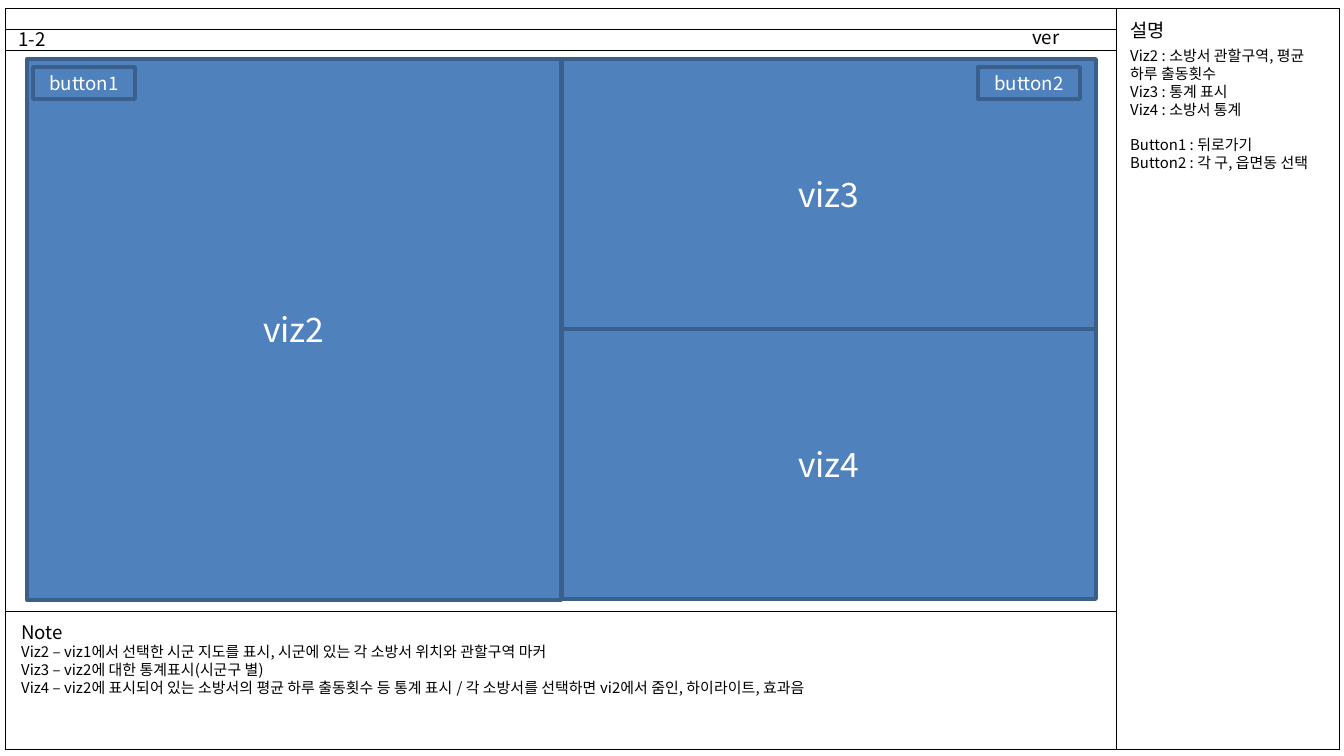
import pptx
import pptx.util
import pptx.dml.color
import pptx.enum.shapes
import pptx.enum.text
import pptx.oxml.ns
import lxml.etree

RGB = pptx.dml.color.RGBColor
BLACK = RGB(0x00, 0x00, 0x00)
WHITE = RGB(0xFF, 0xFF, 0xFF)
BLUE = RGB(0x4F, 0x81, 0xBD)
NAVY = RGB(0x3A, 0x5F, 0x8C)
FONT = "Noto Sans CJK KR"
SCALE = 914400 / 134.4
ALIGN = pptx.enum.text.PP_ALIGN
ANCHOR = pptx.enum.text.MSO_ANCHOR
FIT = pptx.enum.text.MSO_AUTO_SIZE

# Boxes are (left, top, width, height) in pixels.
FRAMES = [
    (5, 8, 1334, 741),
    (1116, 8, 223, 741),
    (5, 611, 1111, 138),
    (5, 8, 1111, 21),
    (5, 29, 1111, 21),
]
LEFT, TOP, WIDE, HIGH = 27, 59, 535, 270
VIEWS = [
    ("viz2", (LEFT, TOP, WIDE - 1, 2 * HIGH + 1)),
    ("viz3", (LEFT + WIDE, TOP, WIDE - 1, HIGH)),
    ("viz4", (LEFT + WIDE, TOP + HIGH, WIDE - 1, HIGH)),
]
BUTTONS = [("button2", (978, 67, 102, 32)), ("button1", (33, 67, 102, 32))]
GUIDE = [
    ("Viz2 : 소방서 관할구역, 평균 하루 출동횟수", 8),
    ("Viz3 : 통계 표시", 8),
    ("Viz4 : 소방서 통계", 8),
    ("Button1 : 뒤로가기", 8, 9.6),
    ("Button2 : 각 구, 읍면동 선택", 8),
]
NOTES = [
    ("Note", 10),
    ("Viz2 – viz1에서 선택한 시군 지도를 표시, 시군에 있는 각 소방서 위치와 관할구역 마커", 8),
    ("Viz3 – viz2에 대한 통계표시(시군구 별)", 8),
    ("Viz4 – viz2에 표시되어 있는 소방서의 평균 하루 출동횟수 등 통계 표시 / "
     "각 소방서를 선택하면 vi2에서 줌인, 하이라이트, 효과음", 8),
]


def px(size):
    """Turn pixels into EMU."""
    return pptx.util.Emu(round(size * SCALE))


def assign(item, **values):
    """Set each given attribute on the item."""
    for name, value in values.items():
        setattr(item, name, value)


def place(item, box):
    """Move and size an item."""
    names = ("left", "top", "width", "height")
    assign(item, **dict(zip(names, map(px, box))))


def write(frame, lines, color=BLACK, align=ALIGN.LEFT):
    """Write (text, size, optional space before) lines into a text frame."""
    for row, (text, size, *gap) in enumerate(lines):
        para = frame.add_paragraph() if row else frame.paragraphs[0]
        assign(para, alignment=align, space_before=pptx.util.Pt(gap[0] if gap else 0))
        run = para.add_run()
        run.text = text
        assign(run.font, name=FONT, size=pptx.util.Pt(size))
        run.font.color.rgb = color
        east = lxml.etree.SubElement(run.font._element, pptx.oxml.ns.qn("a:ea"))
        east.set("typeface", FONT)


def panel(slide, box, fill=WHITE, edge=BLACK, width=0.25):
    """Add a filled and outlined rectangle."""
    shape = slide.shapes.add_shape(
        pptx.enum.shapes.MSO_SHAPE.RECTANGLE, *map(px, box))
    shape.shadow.inherit = False
    shape.fill.solid()
    shape.fill.fore_color.rgb = fill
    shape.line.color.rgb = edge
    shape.line.width = pptx.util.Pt(width)
    return shape


def tile(slide, text, box, size):
    """Add a blue rectangle with a centred label."""
    frame = panel(slide, box, BLUE, NAVY, 2).text_frame
    frame.vertical_anchor = ANCHOR.MIDDLE
    write(frame, [(text, size)], WHITE, ALIGN.CENTER)


def label(slide, lines, box):
    """Add a plain text box."""
    frame = slide.shapes.add_textbox(*map(px, box)).text_frame
    assign(frame, word_wrap=True, auto_size=FIT.SHAPE_TO_FIT_TEXT)
    write(frame, lines)


def head(slide, text, box):
    """Place the title above the frames and format it."""
    title = slide.shapes.title
    place(title, box)
    slide.shapes._spTree.append(title._element)
    assign(title.text_frame, word_wrap=False, vertical_anchor=ANCHOR.TOP,
           auto_size=FIT.SHAPE_TO_FIT_TEXT)
    write(title.text_frame, [(text, 10)])


def main():
    """Build the slide and save it."""
    deck = pptx.Presentation()
    assign(deck, slide_width=px(1344), slide_height=px(756))
    slide = deck.slides.add_slide(deck.slide_layouts[5])
    for box in FRAMES:
        panel(slide, box)
    head(slide, "1-2", (5, 21, 55, 36))
    label(slide, [("설명", 10)], (1117, 12, 95, 36))
    label(slide, [("ver", 10)], (1019, 19, 95, 36))
    label(slide, GUIDE, (1117, 40, 222, 140))
    label(slide, NOTES, (8, 614, 903, 90))
    for text, box in VIEWS:
        tile(slide, text, box, 18)
    for text, box in BUTTONS:
        tile(slide, text, box, 10)
    deck.save("out.pptx")


main()
